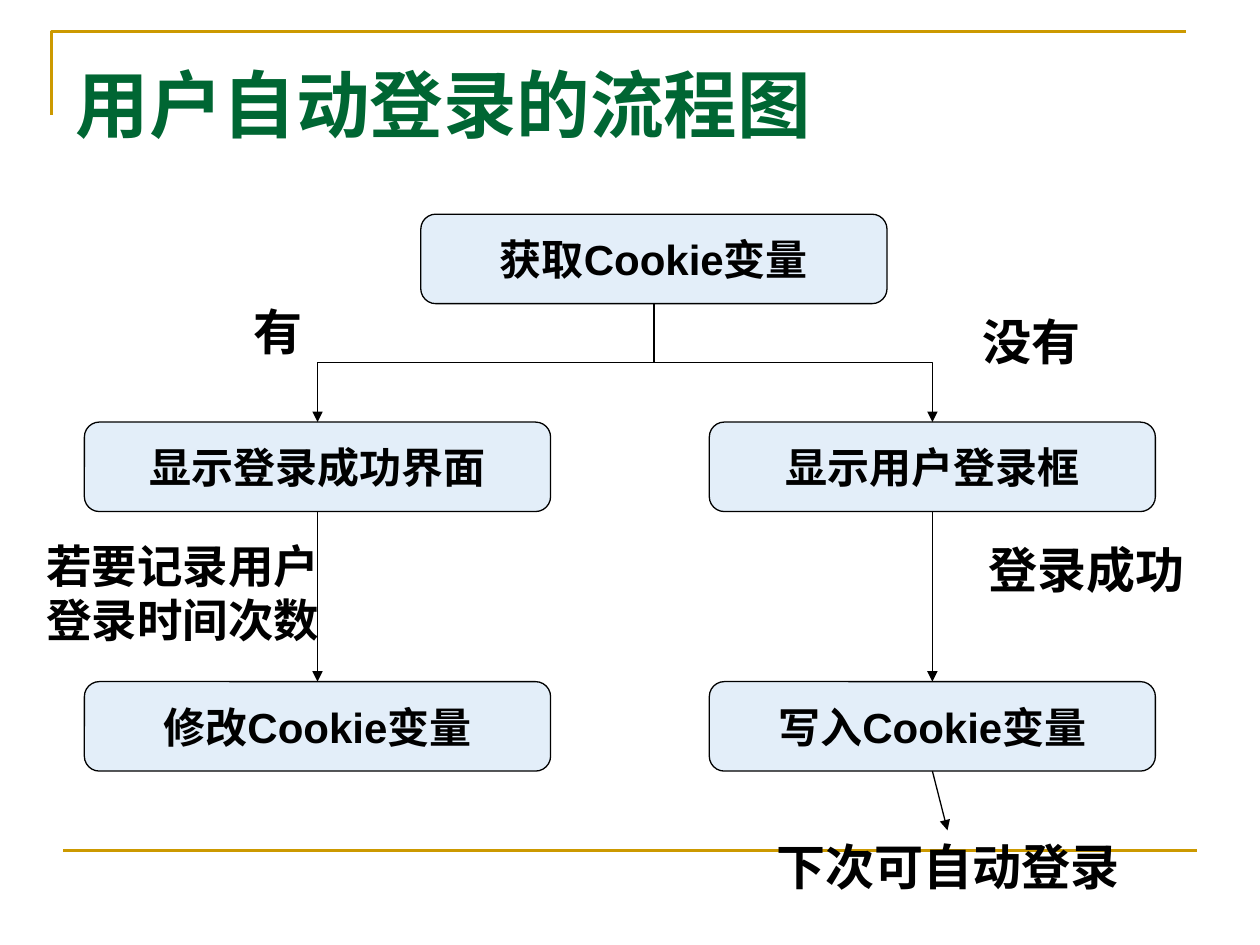
from dataclasses import dataclass

from lxml.etree import SubElement
from pptx import Presentation
from pptx.dml.color import RGBColor
from pptx.enum.shapes import MSO_CONNECTOR, MSO_SHAPE
from pptx.enum.text import MSO_ANCHOR, MSO_AUTO_SIZE, PP_ALIGN
from pptx.oxml.ns import qn
from pptx.util import Inches, Pt


@dataclass(frozen=True)
class Theme:
    gold: RGBColor = RGBColor(0xCC, 0x99, 0x00)
    green: RGBColor = RGBColor(0x00, 0x66, 0x33)
    pale: RGBColor = RGBColor(0xE3, 0xEE, 0xF9)
    black: RGBColor = RGBColor(0, 0, 0)
    head: int = 42
    step: int = 24
    note: int = 26
    label: int = 28


theme = Theme()


def write(shape, text, size, color=theme.black, face="Arial",
          align=PP_ALIGN.CENTER, anchor=MSO_ANCHOR.TOP, wrap=True,
          fit=MSO_AUTO_SIZE.NONE):
    frame = shape.text_frame
    frame.word_wrap = wrap
    frame.auto_size = fit
    frame.vertical_anchor = anchor
    para = frame.paragraphs[0]
    para.text = text
    para.alignment = align
    font = para.font
    font.name, font.size, font.bold = face, Pt(size), True
    font.color.rgb = color


def style(line, color=theme.black, width=0.75, arrow=True):
    """Format a connector, without its shadow."""
    line.line.color.rgb = color
    line.line.width = Pt(width)
    if arrow:
        SubElement(line.line._get_or_add_ln(), qn("a:tailEnd"), type="triangle")
    SubElement(line._element.spPr, qn("a:effectLst"))


prs = Presentation()
prs.slide_width, prs.slide_height = Inches(10), Inches(7.5)
slide = prs.slides.add_slide(prs.slide_layouts[5])
shapes = slide.shapes

# Frame lines and title
path = shapes.build_freeform(Inches(0.41), Inches(0.91))
path.add_line_segments([(Inches(0.41), Inches(0.25)),
                        (Inches(9.41), Inches(0.25))], close=False)
edge = path.convert_to_shape()
edge.fill.background()
edge.line.color.rgb = theme.gold
edge.line.width = Pt(1.5)
edge.shadow.inherit = False

rule = shapes.add_connector(MSO_CONNECTOR.STRAIGHT, Inches(0.5), Inches(6.75),
                            Inches(9.5), Inches(6.75))
style(rule, theme.gold, 1.5, arrow=False)

title = shapes.title
title.left, title.top = Inches(0.5), Inches(0.42)
title.width, title.height = Inches(9), Inches(1.13)
write(title, "用户自动登录的流程图", theme.head, theme.green, "Times New Roman",
      PP_ALIGN.LEFT)

# Steps: key, centre, top, width, text
steps = [
    ("get", 5.19, 1.7, 3.7, "获取Cookie变量"),
    ("done", 2.52, 3.35, 3.7, "显示登录成功界面"),
    ("form", 7.4, 3.35, 3.54, "显示用户登录框"),
    ("edit", 2.52, 5.41, 3.7, "修改Cookie变量"),
    ("save", 7.4, 5.41, 3.54, "写入Cookie变量"),
]
boxes = {}
for key, mid, top, width, text in steps:
    box = shapes.add_shape(MSO_SHAPE.ROUNDED_RECTANGLE, Inches(mid - width / 2),
                           Inches(top), Inches(width), Inches(0.71))
    box.shadow.inherit = False
    box.fill.solid()
    box.fill.fore_color.rgb = theme.pale
    box.line.color.rgb = theme.black
    box.line.width = Pt(0.75)
    write(box, text, theme.step, anchor=MSO_ANCHOR.MIDDLE, wrap=False)
    boxes[key] = box

# Branches: elbows turned so that they leave downwards
for key, turn, flip in [("done", 90, False), ("form", 270, True)]:
    line = shapes.add_connector(MSO_CONNECTOR.ELBOW, 0, 0, 0, 0)
    line.begin_connect(boxes["get"], 2)
    line.end_connect(boxes[key], 0)
    left, top, wide, high = line.left, line.top, line.width, line.height
    line.left, line.top = left + (wide - high) // 2, top + (high - wide) // 2
    line.width, line.height = high, wide
    form = line._element.spPr.xfrm
    form.rot, form.flipH = turn, flip
    style(line)

for start, end in [("done", "edit"), ("form", "save")]:
    line = shapes.add_connector(MSO_CONNECTOR.STRAIGHT, 0, 0, 0, 0)
    line.begin_connect(boxes[start], 2)
    line.end_connect(boxes[end], 0)
    style(line)

last = shapes.add_connector(MSO_CONNECTOR.STRAIGHT, Inches(7.4), Inches(6.12),
                            Inches(7.52), Inches(6.59))
last.begin_connect(boxes["save"], 2)
style(last)

# Labels: left, top, width, height, text, size, alignment
labels = [
    (1.54, 2.34, 1.34, 0.57, "有", theme.label, PP_ALIGN.CENTER),
    (7.52, 2.42, 1.34, 0.57, "没有", theme.label, PP_ALIGN.CENTER),
    (0.27, 4.22, 2.56, 0.97, "若要记录用户登录时间次数", theme.note, PP_ALIGN.LEFT),
    (7.6, 4.23, 2.05, 0.57, "登录成功", theme.label, PP_ALIGN.CENTER),
    (5.87, 6.59, 3.31, 0.57, "下次可自动登录", theme.label, PP_ALIGN.CENTER),
]
for *place, text, size, align in labels:
    label = shapes.add_textbox(*map(Inches, place))
    write(label, text, size, align=align, fit=MSO_AUTO_SIZE.SHAPE_TO_FIT_TEXT)

prs.save("out.pptx")
